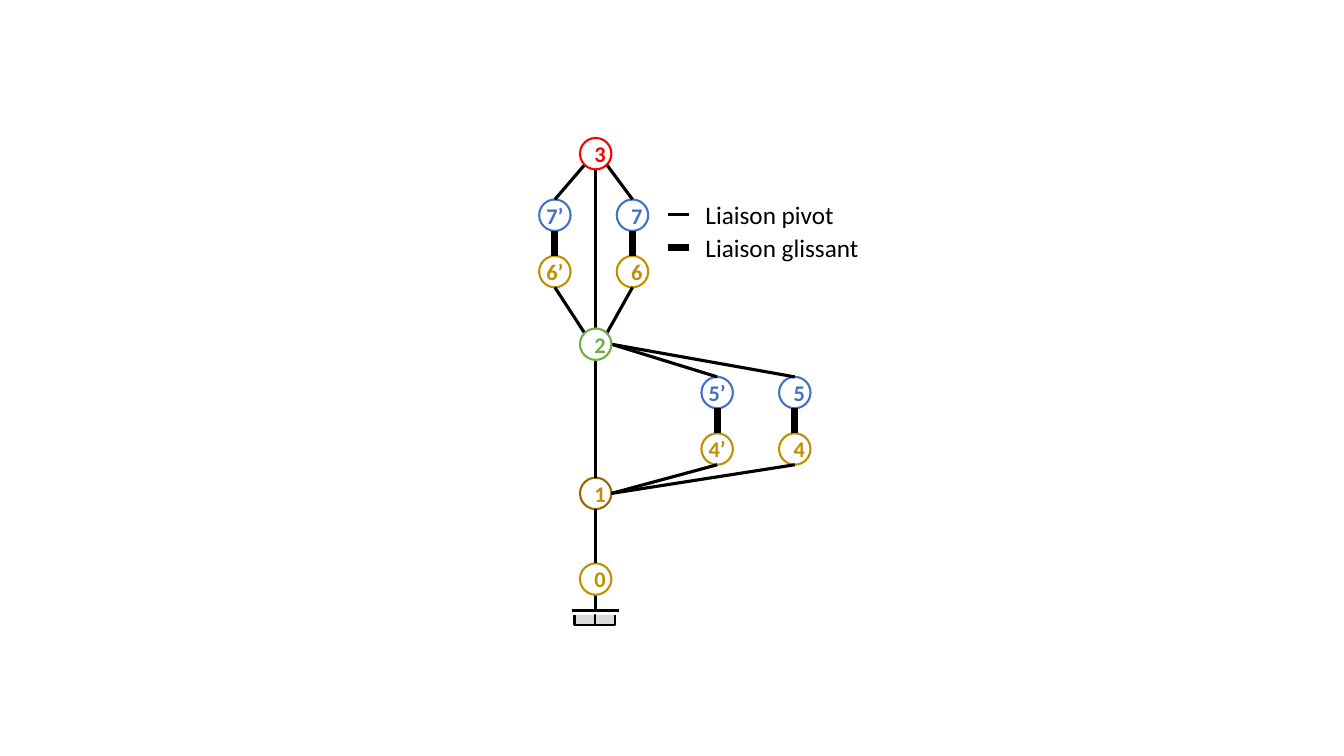
from enum import Enum
from typing import NamedTuple

from lxml import etree
from pptx import Presentation
from pptx.dml.color import RGBColor
from pptx.enum.shapes import MSO_CONNECTOR, MSO_SHAPE
from pptx.enum.text import MSO_ANCHOR, MSO_AUTO_SIZE, PP_ALIGN
from pptx.oxml.ns import qn
from pptx.util import Inches, Pt

STRAIGHT = MSO_CONNECTOR.STRAIGHT
ELLIPSE = MSO_SHAPE.OVAL
MIDDLE = MSO_ANCHOR.MIDDLE
CENTER = PP_ALIGN.CENTER
GROW = MSO_AUTO_SIZE.SHAPE_TO_FIT_TEXT

BLACK = RGBColor(0x00, 0x00, 0x00)
WHITE = RGBColor(0xFF, 0xFF, 0xFF)
GREY = RGBColor(0xD9, 0xD9, 0xD9)
GOLD = RGBColor(0xBF, 0x90, 0x00)
BROWN = RGBColor(0x99, 0x66, 0x00)
BLUE = RGBColor(0x44, 0x72, 0xC4)
GREEN = RGBColor(0x70, 0xAD, 0x47)
RED = RGBColor(0xFF, 0x00, 0x00)

FONT = "Calibri"
CELL = Inches(0.1)
COLUMNS, ROWS = 133.33, 75
RADIUS = 1.56
PIVOT, SLIDER = 2.25, 5
DIAGONAL = 0.71

AXIS = 59.1
PAIR_GAP = 7.7
SLIDER_GAP = 5.6
UPPER_COLUMN, UPPER_ROW = 55.05, 21.35
LOWER_COLUMN, LOWER_ROW = 71.15, 38.95
GROUND_ROW = 60.6


class Point(NamedTuple):
    column: float
    row: float


class Side(Enum):
    TOP = Point(0, -1)
    BOTTOM = Point(0, 1)
    RIGHT = Point(1, 0)
    TOP_LEFT = Point(-DIAGONAL, -DIAGONAL)
    TOP_RIGHT = Point(DIAGONAL, -DIAGONAL)
    BOTTOM_LEFT = Point(-DIAGONAL, DIAGONAL)
    BOTTOM_RIGHT = Point(DIAGONAL, DIAGONAL)


class Node(NamedTuple):
    center: Point
    color: RGBColor
    outline: RGBColor


class Link(NamedTuple):
    start: str
    start_side: Side
    end: str
    end_side: Side
    width: float = PIVOT


class LegendEntry(NamedTuple):
    label: str
    row: float
    width: float


def slider_pair(top: str, bottom: str, column: float, row: float) -> dict[str, Node]:
    return {
        top: Node(Point(column, row), BLUE, BLUE),
        bottom: Node(Point(column, row + SLIDER_GAP), GOLD, GOLD),
    }


NODES = {
    "0": Node(Point(AXIS, 57.45), GOLD, GOLD),
    "1": Node(Point(AXIS, 48.95), GOLD, BROWN),
    **slider_pair("5’", "4’", LOWER_COLUMN, LOWER_ROW),
    **slider_pair("5", "4", LOWER_COLUMN + PAIR_GAP, LOWER_ROW),
    **slider_pair("7’", "6’", UPPER_COLUMN, UPPER_ROW),
    **slider_pair("7", "6", UPPER_COLUMN + PAIR_GAP, UPPER_ROW),
    "3": Node(Point(AXIS, 15.25), RED, RED),
    "2": Node(Point(AXIS, 34.15), GREEN, GREEN),
}
FRONT_NODES = ("3", "2")

LINKS = [
    Link("1", Side.BOTTOM, "0", Side.TOP),
    Link("3", Side.BOTTOM, "1", Side.TOP),
    Link("3", Side.BOTTOM_LEFT, "7’", Side.TOP),
    Link("3", Side.BOTTOM_RIGHT, "7", Side.TOP),
    Link("6’", Side.BOTTOM, "2", Side.TOP_LEFT),
    Link("6", Side.BOTTOM, "2", Side.TOP_RIGHT),
]
for mark in ("’", ""):
    LINKS += [
        Link("2", Side.RIGHT, "5" + mark, Side.TOP),
        Link("1", Side.RIGHT, "4" + mark, Side.BOTTOM),
        Link("5" + mark, Side.BOTTOM, "4" + mark, Side.TOP, SLIDER),
        Link("7" + mark, Side.BOTTOM, "6" + mark, Side.TOP, SLIDER),
    ]

LEGEND = [
    LegendEntry("Liaison pivot", 21.3, PIVOT),
    LegendEntry("Liaison glissant", 24.6, SLIDER),
]

GROUND_START = Point(56.9, GROUND_ROW)
GROUND_CURVES = [
    (Point(57, 61.2), Point(57.2, 61.8), Point(57.6, 61.9)),
    (Point(58, 62), Point(58.7, 61.3), Point(59.2, 61.4)),
    (Point(59.6, 61.4), Point(59.9, 62.3), Point(60.3, 62.1)),
    (Point(60.7, 62), Point(61, 61.3), Point(61.4, GROUND_ROW)),
]


def grid(length: float) -> int:
    return round(length * CELL)


def node_edge(label: str, side: Side) -> Point:
    center = NODES[label].center
    return Point(center.column + RADIUS * side.value.column,
                 center.row + RADIUS * side.value.row)


def draw_line(shapes, start: Point, end: Point, width: float) -> None:
    connector = shapes.add_connector(STRAIGHT, *map(grid, start + end))
    connector.line.color.rgb = BLACK
    connector.line.width = Pt(width)
    properties = connector._element.find(qn("p:spPr"))
    etree.SubElement(properties, qn("a:effectLst"))


def draw_node(shapes, label: str, node: Node) -> None:
    corner = (node.center.column - RADIUS, node.center.row - RADIUS)
    circle = shapes.add_shape(ELLIPSE, *map(grid, corner + (2 * RADIUS,) * 2))
    circle.shadow.inherit = False
    circle.fill.solid()
    circle.fill.fore_color.rgb = WHITE
    circle.line.color.rgb = node.outline
    circle.line.width = Pt(1.5)
    frame = circle.text_frame
    frame.vertical_anchor = MIDDLE
    if label.endswith("’"):
        frame.margin_left = frame.margin_right = 0
        frame.margin_top = frame.margin_bottom = 0
    paragraph = frame.paragraphs[0]
    paragraph.text = label
    paragraph.alignment = CENTER
    paragraph.font.name = FONT
    paragraph.font.size = Pt(16)
    paragraph.font.bold = True
    paragraph.font.color.rgb = node.color


def curve_points(start: Point, first: Point, second: Point, end: Point,
                 steps: int = 12) -> list[Point]:
    points = []
    for step in range(1, steps + 1):
        t = step / steps
        weights = ((1 - t) ** 3, 3 * t * (1 - t) ** 2, 3 * t * t * (1 - t), t ** 3)
        controls = list(zip(weights, (start, first, second, end)))
        points.append(Point(sum(w * point.column for w, point in controls),
                            sum(w * point.row for w, point in controls)))
    return points


def draw_ground(shapes) -> None:
    outline = [GROUND_START]
    for curve in GROUND_CURVES:
        outline += curve_points(outline[-1], *curve)
    builder = shapes.build_freeform(*GROUND_START, scale=CELL)
    builder.add_line_segments(outline[1:], close=False)
    ground = builder.convert_to_shape()
    ground.shadow.inherit = False
    ground.fill.solid()
    ground.fill.fore_color.rgb = GREY
    ground.line.color.rgb = BLACK
    ground.line.width = Pt(1.5)
    draw_line(shapes, node_edge("0", Side.BOTTOM), Point(AXIS, GROUND_ROW), PIVOT)
    draw_line(shapes, Point(56.7, GROUND_ROW), Point(61.4, GROUND_ROW), PIVOT)


def draw_legend_entry(shapes, entry: LegendEntry) -> None:
    draw_line(shapes, Point(66.3, entry.row), Point(68.4, entry.row), entry.width)
    box = shapes.add_textbox(*map(grid, (69, entry.row - 2, 21.2, 4)))
    box.text_frame.word_wrap = True
    box.text_frame.auto_size = GROW
    paragraph = box.text_frame.paragraphs[0]
    paragraph.text = entry.label
    paragraph.font.name = FONT
    paragraph.font.size = Pt(18)
    paragraph.font.color.rgb = BLACK


presentation = Presentation()
presentation.slide_width = grid(COLUMNS)
presentation.slide_height = grid(ROWS)
shapes = presentation.slides.add_slide(presentation.slide_layouts[6]).shapes

draw_ground(shapes)
for label, node in NODES.items():
    if label not in FRONT_NODES:
        draw_node(shapes, label, node)
for link in LINKS:
    draw_line(shapes, node_edge(link.start, link.start_side),
              node_edge(link.end, link.end_side), link.width)
for label in FRONT_NODES:
    draw_node(shapes, label, NODES[label])
for entry in LEGEND:
    draw_legend_entry(shapes, entry)

presentation.save("out.pptx")
